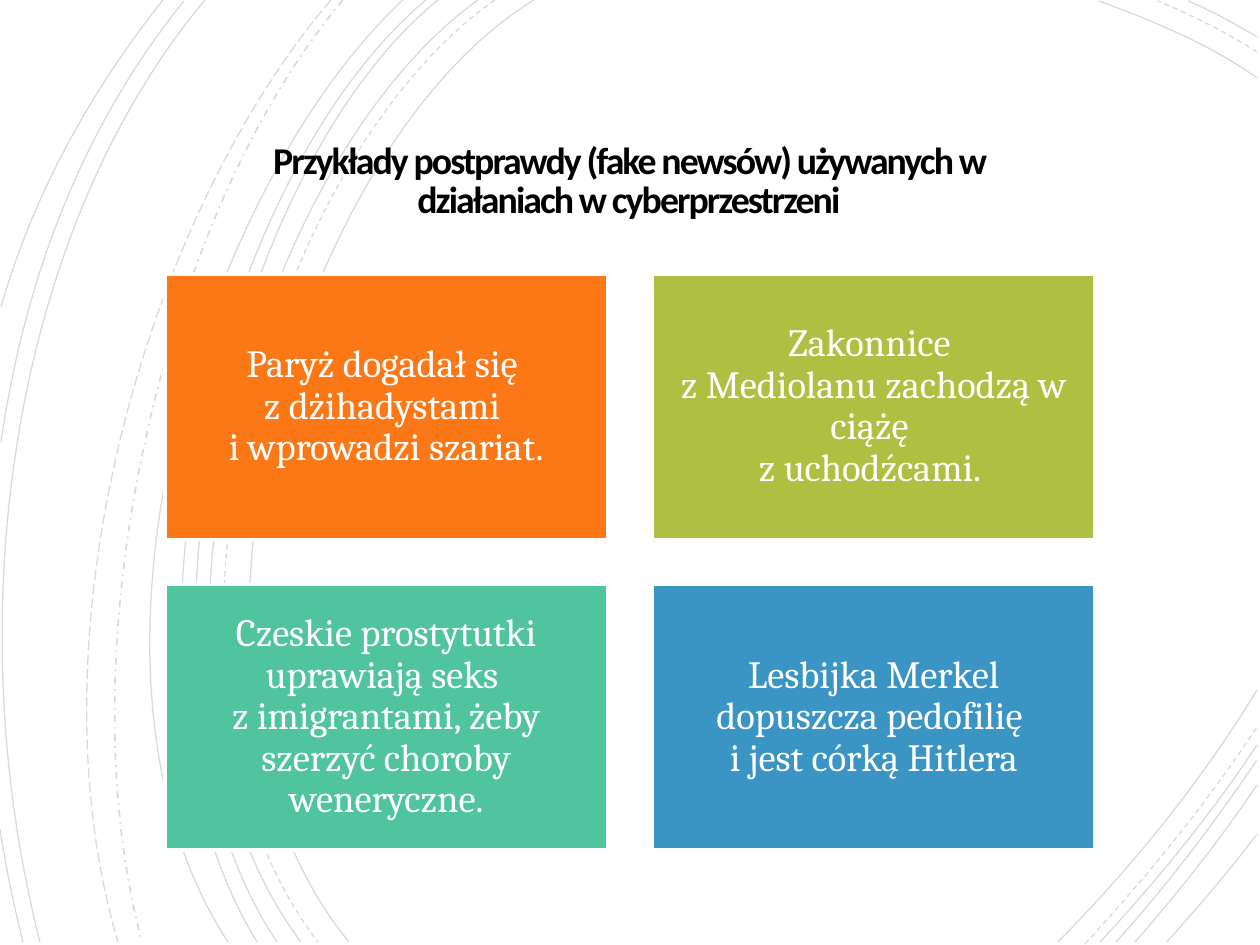
from dataclasses import dataclass

from pptx import Presentation
from pptx.dml.color import RGBColor
from pptx.enum.dml import MSO_LINE
from pptx.enum.shapes import MSO_SHAPE
from pptx.enum.text import MSO_ANCHOR, PP_ALIGN
from pptx.oxml.ns import qn
from pptx.util import Pt
from lxml import etree

RECT = MSO_SHAPE.RECTANGLE
MIDDLE = MSO_ANCHOR.MIDDLE
CENTER = PP_ALIGN.CENTER
SOLID = MSO_LINE.SOLID
DASH = MSO_LINE.DASH
LONG = MSO_LINE.LONG_DASH
DOT = MSO_LINE.DASH_DOT
SCALE = 914400 / 126


@dataclass(frozen=True)
class Theme:
    ink: str = "000000"
    paper: str = "FFFFFF"
    cards: tuple = ("FC7715", "AFBF41", "50C49F", "3B95C4")
    head: str = "Calibri"
    body: str = "Cambria"
    big: float = 21.6
    mid: float = 22
    alpha: int = 15


THEME = Theme()

ARCS = [
    (SOLID, 0.75, [
        (534, 0, 297, 145, 135, 680, 349, 942),
        (1257, 78, 1208, 43, 1150, 20, 1099, 1),
        (1058, 942, 1130, 869, 1200, 784, 1257, 690),
        (478, 0, 255, 160, 103, 677, 301, 942),
        (1257, 37, 1235, 24, 1212, 11, 1188, 1),
        (1100, 942, 1155, 883, 1210, 816, 1257, 745),
        (438, 0, 231, 168, 103, 682, 277, 942),
        (1116, 942, 1166, 887, 1213, 825, 1257, 760),
        (426, 0, 218, 174, 92, 672, 257, 942),
        (1135, 942, 1178, 893, 1220, 840, 1257, 785),
        (403, 0, 205, 185, 50, 667, 228, 942),
        (1167, 942, 1197, 908, 1229, 872, 1257, 834),
        (205, 0, 10, 233, -43, 617, 40, 942),
        (184, 1, 87, 121, 26, 270, 1, 442),
        (0, 829, 6, 868, 14, 906, 23, 942),
        (163, 0, 94, 87, 35, 189, 1, 307),
    ]),
    (DASH, 0.75, [
        (495, 0, 268, 158, 116, 677, 318, 942),
        (1257, 52, 1226, 32, 1191, 15, 1158, 1),
        (1085, 944, 1145, 879, 1205, 806, 1257, 727),
    ]),
    (DOT, 1, [(343, 0, 166, 209, 62, 641, 142, 942)]),
    (LONG, 0.75, [(331, 0, 149, 213, 26, 629, 118, 942)]),
]

TITLE = "Przykłady postprawdy (fake newsów) używanych w działaniach w cyberprzestrzeni"
CARDS = [
    "Paryż dogadał się \vz dżihadystami \vi wprowadzi szariat.",
    "Zakonnice \vz Mediolanu zachodzą w ciążę \vz uchodźcami. ",
    "Czeskie prostytutki uprawiają seks \vz imigrantami, żeby szerzyć choroby weneryczne.",
    "Lesbijka Merkel dopuszcza pedofilię \vi jest córką Hitlera",
]


def px(n):
    return round(n * SCALE)


def rgb(code):
    return RGBColor.from_string(code)


def write(shape, text, *, font, size, color, bold=False, pad=0, lead=1.0, track=0):
    frame = shape.text_frame
    frame.word_wrap = True
    frame.vertical_anchor = MIDDLE
    frame.margin_left = frame.margin_right = px(pad)
    frame.margin_top = frame.margin_bottom = px(pad)
    para = frame.paragraphs[0]
    para.text = text
    para.alignment = CENTER
    para.line_spacing = lead
    for run in para.runs:
        run.font.name = font
        run.font.size = Pt(size)
        run.font.bold = bold
        run.font.color.rgb = rgb(color)
        if track:
            run.font._element.set("spc", str(track))


def arc(slide, box, dots, dash, width):
    left, top = box[:2]
    pts = [(left + x, top + y) for x, y in zip(dots[::2], dots[1::2])]
    pen = slide.shapes.build_freeform(*pts[0], scale=SCALE)
    pen.add_line_segments(pts[1:], close=False)
    curve = pen.convert_to_shape()
    curve.shadow.inherit = False
    curve.fill.background()
    curve.line.width = Pt(width)
    curve.line.dash_style = dash
    curve.line.color.rgb = rgb(THEME.ink)
    tint = curve.element.find(f".//{qn('a:ln')}//{qn('a:srgbClr')}")
    etree.SubElement(tint, qn("a:alpha"), val=str(THEME.alpha * 1000))
    track = curve.element.find(f".//{qn('a:path')}")
    bend = etree.SubElement(track, qn("a:cubicBezTo"))
    for leg in track.findall(qn("a:lnTo")):
        bend.append(leg[0])
        track.remove(leg)


def arcs(slide, box):
    for dash, width, group in ARCS:
        for dots in group:
            arc(slide, box, dots, dash, width)


def title(slide, box):
    label = slide.shapes.add_textbox(*map(px, box))
    write(label, TITLE, font=THEME.head, size=THEME.big, color=THEME.ink,
          bold=True, pad=32, lead=0.85, track=-110)


def cards(slide, box, cols=2, gap=45):
    left, top, wide, high = box
    rows = len(CARDS) // cols
    w = (wide - gap * (cols - 1)) / cols
    h = (high - gap * (rows - 1)) / rows
    for i, (text, fill) in enumerate(zip(CARDS, THEME.cards)):
        row, col = divmod(i, cols)
        spot = (left + col * (w + gap), top + row * (h + gap), w, h)
        card = slide.shapes.add_shape(RECT, *map(px, spot))
        card.shadow.inherit = False
        card.fill.solid()
        card.fill.fore_color.rgb = rgb(fill)
        card.line.color.rgb = rgb(THEME.paper)
        card.line.width = Pt(2)
        write(card, text, font=THEME.body, size=THEME.mid,
              color=THEME.paper, pad=12, lead=0.9)


def main():
    deck = Presentation()
    deck.slide_width, deck.slide_height = px(1260), px(945)
    slide = deck.slides.add_slide(deck.slide_layouts[6])
    arcs(slide, (0, 0, 1260, 945))
    title(slide, (181, 110, 896, 145))
    cards(slide, (165, 274, 930, 576))
    deck.save("out.pptx")


if __name__ == "__main__":
    main()
